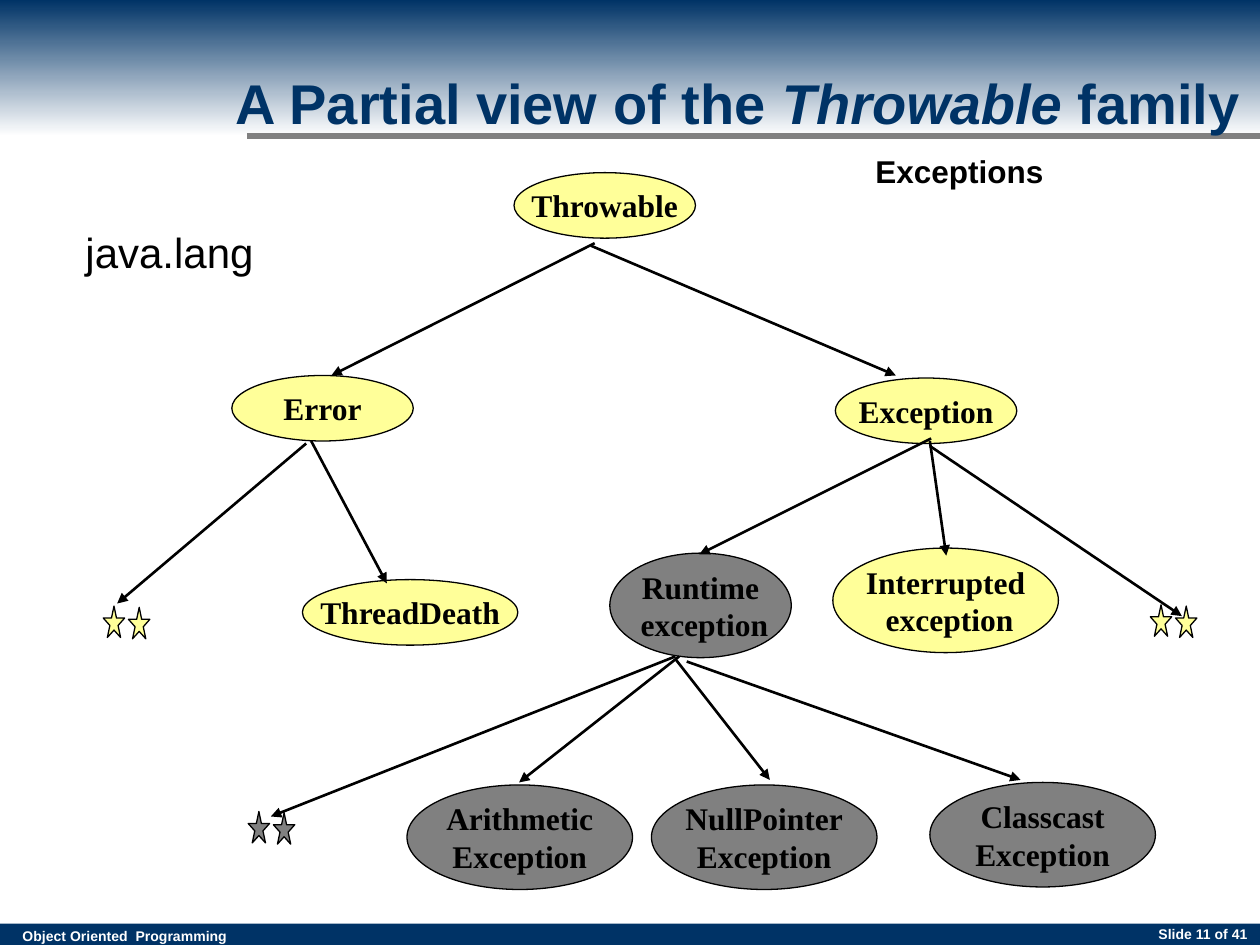
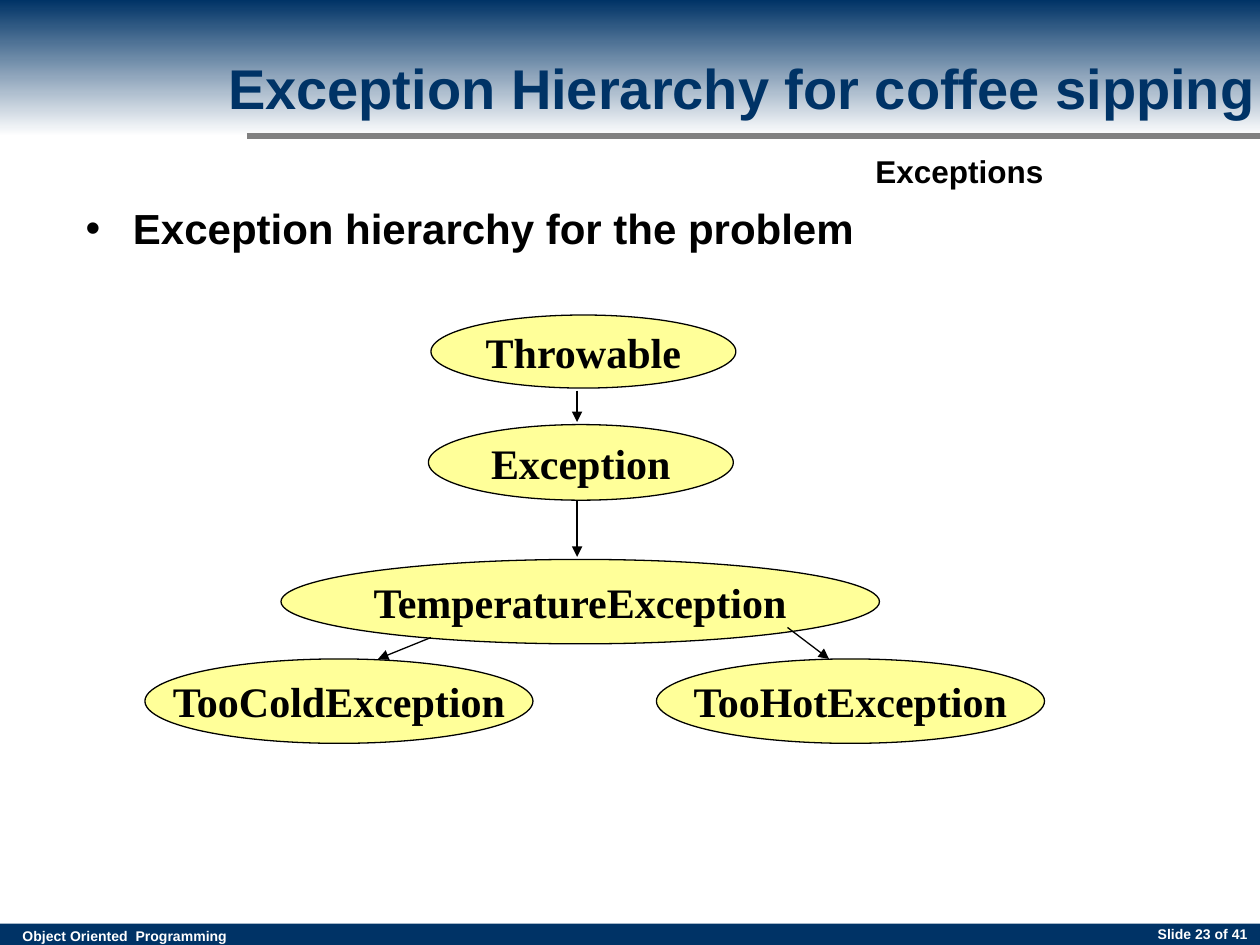
from collections import namedtuple

from lxml.etree import SubElement
from pptx import Presentation
from pptx.dml.color import RGBColor
from pptx.enum.shapes import MSO_CONNECTOR as Connector, MSO_SHAPE as Preset
from pptx.enum.text import MSO_ANCHOR as Anchor, PP_ALIGN as Align
from pptx.oxml.ns import qn
from pptx.util import Inches, Pt

COLORS = {
    "navy": "003366",
    "white": "FFFFFF",
    "black": "000000",
    "gray": "808080",
    "yellow": "FFFF99",
}
SANS, SERIF = "Arial", "Times New Roman"
TITLE_ONLY, TITLE_AND_BODY = 5, 1

Box = namedtuple("Box", "left top width height")
PAGE = Box(0, 0, 10, 7.5)


def color(name):
    return RGBColor.from_string(COLORS[name])


def inside(box, left, top, width, height):
    return Box(box.left + left, box.top + top, width, height)


def write(frame, text, size=18, font=SANS, ink="black", bold=True,
          align=Align.LEFT, anchor=Anchor.TOP, wrap=True, before=0):
    frame.word_wrap = wrap
    frame.vertical_anchor = anchor
    for number, line in enumerate(text.split("\n")):
        para = frame.add_paragraph() if number else frame.paragraphs[0]
        para.alignment = align
        para.space_before = Pt(before)
        for index, part in enumerate(line.split("*")):
            span = para.add_run()
            span.text = part
            span.font.size = Pt(size)
            span.font.name = font
            span.font.bold = bold
            span.font.italic = index % 2 == 1
            span.font.color.rgb = color(ink)


def add_label(page, box, text, **style):
    label = page.shapes.add_textbox(*map(Inches, box))
    write(label.text_frame, text, **style)
    return label


def add_preset(page, preset, box, fill, outline=True):
    shape = page.shapes.add_shape(preset, *map(Inches, box))
    shape.shadow.inherit = False
    shape.fill.solid()
    shape.fill.fore_color.rgb = color(fill)
    if outline:
        shape.line.color.rgb = color("black")
        shape.line.width = Pt(0.75)
    else:
        shape.line.fill.background()
    return shape


def add_line(page, box, start, end, width, ink="black", arrow=True):
    ends = [Inches(value) for x, y in (start, end)
            for value in (box.left + x, box.top + y)]
    line = page.shapes.add_connector(Connector.STRAIGHT, *ends)
    line.line.color.rgb = color(ink)
    line.line.width = Pt(width)
    properties = line.element.spPr
    if arrow:
        SubElement(properties.find(qn("a:ln")), qn("a:tailEnd"), type="triangle")
    SubElement(properties, qn("a:effectLst"))
    return line


def add_class(page, box, name, fill="yellow", size=18):
    ellipse = add_preset(page, Preset.OVAL, box, fill)
    write(ellipse.text_frame, name, size=size, font=SERIF,
          align=Align.CENTER, anchor=Anchor.MIDDLE, wrap=False)


def add_star_pair(page, box, fill):
    for number in range(2):
        star = inside(box, 0.2 * number, 0.01 * number, 0.17, 0.25)
        add_preset(page, Preset.STAR_5_POINT, star, fill)


def build_master(deck, page, box):
    footer = add_preset(page, Preset.RECTANGLE,
                        inside(box, 0, box.height - 0.17, box.width, 0.17),
                        "navy", outline=False)
    course = add_label(page, inside(box, 0.08, box.height - 0.19, 1.88, 0.24),
                       "Object Oriented  Programming", size=8, ink="white")
    band = add_preset(page, Preset.RECTANGLE, inside(box, 0, 0, box.width, 1.08),
                      "navy", outline=False)
    band.fill.gradient()
    band.fill.gradient_angle = 270
    for stop, name, position in zip(band.fill.gradient_stops, ("navy", "white"), (0, 1)):
        stop.color.rgb = color(name)
        stop.position = position
    rule = add_line(page, box, (1.96, 1.08), (box.width, 1.08), 3, "gray", arrow=False)
    topic = add_label(page, inside(box, 6.85, 1.16, 1.8, 0.4), "Exceptions")

    first = deck.slide_master.shapes[0].element
    for number, shape in enumerate((footer, course, band, rule, topic), 101):
        shape.element.xpath(".//p:cNvPr")[0].set("id", str(number))
        first.addprevious(shape.element)


def fill_placeholder(holder, box, text, **style):
    holder.left, holder.top, holder.width, holder.height = map(Inches, box)
    write(holder.text_frame, text, **style)


def add_heading(page, box, title, number):
    fill_placeholder(page.shapes.title, box, title, size=32, ink="navy",
                     anchor=Anchor.MIDDLE)
    add_label(page, inside(PAGE, 7.67, 7.3, 2.33, 0.27), f"Slide {number} of 41",
              size=8, ink="white", align=Align.RIGHT)


def draw_throwable_family(page, box):
    classes = [
        ("Throwable", 4.08, 0.37, 1.44, 0.52, "yellow"),
        ("Error", 1.84, 1.98, 1.44, 0.52, "yellow"),
        ("Exception", 6.63, 2, 1.44, 0.52, "yellow"),
        ("ThreadDeath", 2.4, 3.6, 1.71, 0.52, "yellow"),
        ("Runtime\n exception", 4.84, 3.39, 1.44, 0.83, "gray"),
        ("Interrupted\n exception", 6.61, 3.35, 1.79, 0.83, "yellow"),
        ("Arithmetic\nException", 3.23, 5.23, 1.79, 0.83, "gray"),
        ("NullPointer\nException", 5.17, 5.23, 1.79, 0.83, "gray"),
        ("Classcast\nException", 7.38, 5.21, 1.79, 0.83, "gray"),
    ]
    for name, *place, fill in classes:
        add_class(page, inside(box, *place), name, fill)
    for left, top, fill in [(0.82, 3.81, "yellow"), (9.13, 3.8, "yellow"),
                            (1.97, 5.44, "gray")]:
        add_star_pair(page, inside(box, left, top, 0.37, 0.26), fill)
    arrows = [
        ((4.72, 0.93), (2.63, 1.98)),
        ((4.69, 0.95), (7.11, 1.98)),
        ((2.43, 2.52), (0.93, 3.79)),
        ((2.47, 2.5), (3.07, 3.63)),
        ((7.39, 2.48), (5.55, 3.4)),
        ((7.38, 2.5), (7.51, 3.41)),
        ((7.38, 2.54), (9.38, 3.89)),
        ((5.36, 4.21), (2.15, 5.48)),
        ((5.39, 4.21), (4.12, 5.21)),
        ((5.36, 4.23), (6.11, 5.19)),
        ((5.45, 4.25), (8.1, 5.19)),
    ]
    for start, end in arrows:
        add_line(page, box, start, end, 1.5)
    add_label(page, inside(box, 0.58, 0.75, 2.48, 0.5), "java.lang",
              size=24, bold=False, before=15)


def draw_coffee_hierarchy(page, box):
    classes = [
        ("Throwable", 2.42, 0.5, 2.42, 0.58),
        ("Exception", 2.4, 1.37, 2.42, 0.6),
        ("TemperatureException", 1.23, 2.44, 4.75, 0.67),
        ("TooColdException", 0.15, 3.23, 3.08, 0.67),
        ("TooHotException", 4.21, 3.23, 3.08, 0.67),
    ]
    for name, *place in classes:
        add_class(page, inside(box, *place), name, size=24)
    arrows = [
        ((3.58, 1.1), (3.58, 1.35)),
        ((3.58, 1.98), (3.58, 2.42)),
        ((2.42, 3.06), (2, 3.23)),
        ((5.25, 2.98), (5.58, 3.23)),
    ]
    for start, end in arrows:
        add_line(page, box, start, end, 0.75)


def build_family_slide(page):
    add_heading(page, Box(1.77, 0.26, 9, 1.1),
                "A Partial view of the *Throwable* family", 11)
    draw_throwable_family(page, Box(0, 1, 10, 6.2))


def build_coffee_slide(page):
    add_heading(page, Box(1.71, 0.19, 8.4, 1),
                "Exception Hierarchy for coffee sipping", 23)
    fill_placeholder(page.placeholders[1], Box(0.58, 1.56, 8.92, 5.08),
                     "Exception hierarchy for the problem", size=24, before=6)
    draw_coffee_hierarchy(page, Box(1, 2, 7.5, 4))


def main():
    deck = Presentation()
    deck.slide_width, deck.slide_height = Inches(PAGE.width), Inches(PAGE.height)
    family = deck.slides.add_slide(deck.slide_layouts[TITLE_ONLY])
    build_master(deck, family, PAGE)
    build_family_slide(family)
    build_coffee_slide(deck.slides.add_slide(deck.slide_layouts[TITLE_AND_BODY]))
    deck.save("out.pptx")


if __name__ == "__main__":
    main()
